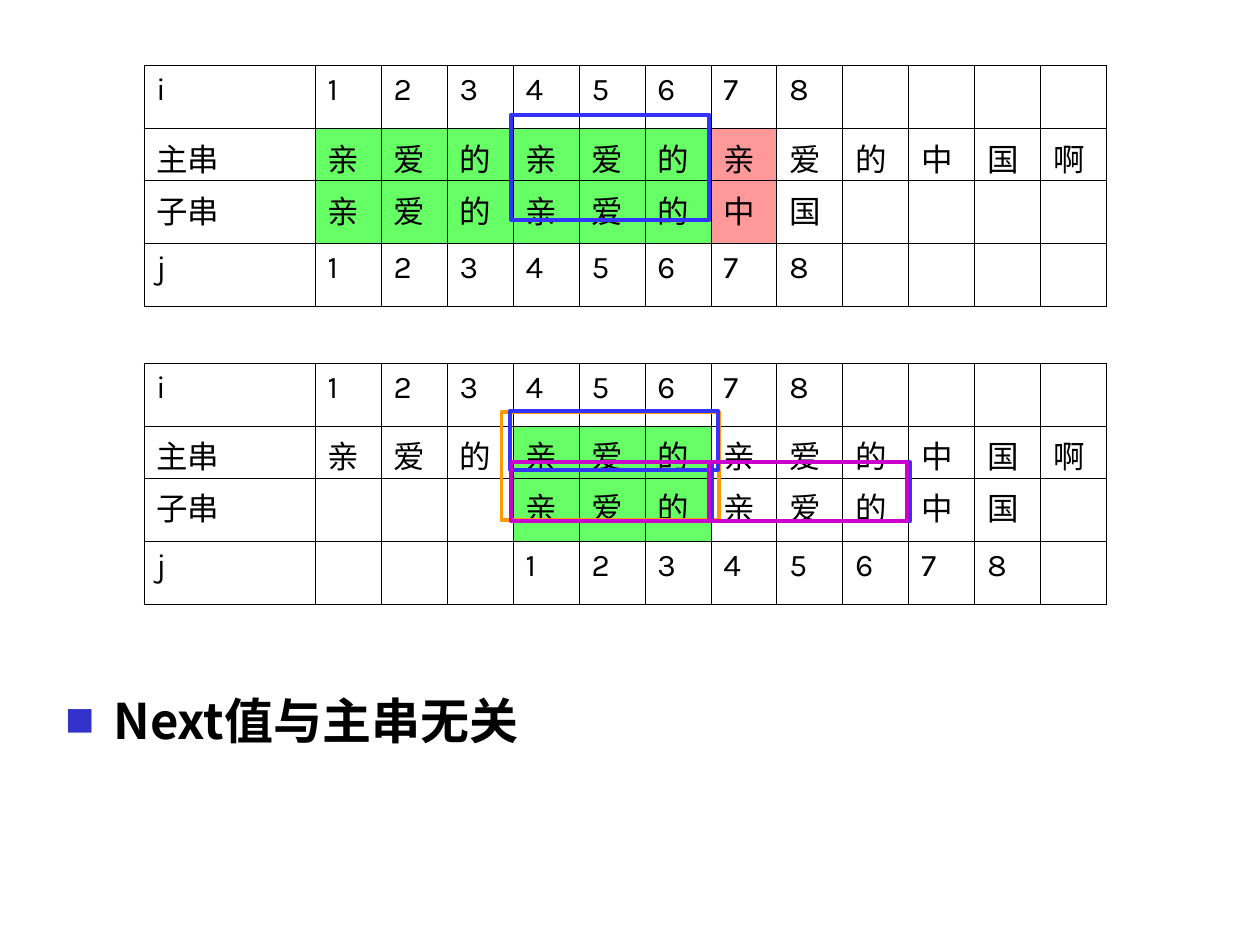
from lxml.etree import SubElement
from pptx import Presentation
from pptx.dml.color import RGBColor
from pptx.enum.shapes import MSO_SHAPE as Shape
from pptx.oxml.ns import qn
from pptx.util import Cm, Pt

LATIN, CHINESE = "Karla", "Noto Sans CJK SC"
BLACK, GREEN, RED = "000000", "66FF66", "FF9999"
BLUE, ORANGE, MAGENTA = "3333FF", "FF9900", "CC00CC"


def colour(hex_value):
    return RGBColor.from_string(hex_value)


class SlideBuilder:
    """Holds the style and the slide being built."""

    cell_format = {"size": Pt(18), "name": LATIN}
    note_format = {"size": Pt(28), "name": CHINESE, "bold": True}
    row_heights = (1.27, 1.04, 1.27, 1.27)
    label_width, step, letters = 3.45, 1.33, 12

    def __init__(self, slide):
        self.slide = slide

    def add_text(self, paragraph, text, text_format):
        run = paragraph.add_run()
        run.text = text
        for name, value in text_format.items():
            setattr(run.font, name, value)
        run.font.color.rgb = colour(BLACK)
        SubElement(run._r.get_or_add_rPr(), qn("a:ea"), typeface=CHINESE)

    def border(self, cell):
        properties = cell._tc.get_or_add_tcPr()
        for side in ("lnL", "lnR", "lnT", "lnB"):
            line = SubElement(properties, qn(f"a:{side}"), w=str(Pt(0.45)))
            fill = SubElement(line, qn("a:solidFill"))
            SubElement(fill, qn("a:srgbClr"), val=BLACK)

    def match_table(self, left, top, rows, highlights):
        """Each row is (label, first column, letters); highlights map columns to fills."""
        width = self.label_width + self.letters * self.step
        table = self.slide.shapes.add_table(
            len(rows), self.letters + 1, Cm(left), Cm(top),
            Cm(width), Cm(sum(self.row_heights))).table
        table.first_row = table.horz_banding = False
        for index, column in enumerate(table.columns):
            column.width = Cm(self.step if index else self.label_width)
        for index, (label, start, letters) in enumerate(rows):
            table.rows[index].height = Cm(self.row_heights[index])
            texts = {0: label, **dict(enumerate(letters, start))}
            for position, cell in enumerate(table.rows[index].cells):
                cell.margin_bottom = 0
                self.border(cell)
                # Only the two string rows are highlighted
                if index in (1, 2) and position in highlights:
                    cell.fill.solid()
                    cell.fill.fore_color.rgb = colour(highlights[position])
                else:
                    cell.fill.background()
                if position in texts:
                    self.add_text(cell.text_frame.paragraphs[0], texts[position],
                                  self.cell_format)

    def frame(self, left, top, width, height, line_colour):
        shape = self.slide.shapes.add_shape(
            Shape.RECTANGLE, Cm(left), Cm(top), Cm(width), Cm(height))
        shape.shadow.inherit = False
        shape.fill.background()
        shape.line.color.rgb = colour(line_colour)
        shape.line.width = Pt(2.25)

    def bullet_note(self, left, top, width, height, text):
        box = self.slide.shapes.add_textbox(Cm(left), Cm(top), Cm(width), Cm(height))
        box.text_frame.word_wrap = True
        paragraph = box.text_frame.paragraphs[0]
        paragraph.line_spacing = 0.9
        properties = paragraph._p.get_or_add_pPr()
        properties.set("marL", str(Cm(0.97)))
        properties.set("indent", str(Cm(-0.97)))
        bullet_colour = SubElement(properties, qn("a:buClr"))
        SubElement(bullet_colour, qn("a:srgbClr"), val="3333CC")
        SubElement(properties, qn("a:buSzPct"), val="60000")
        SubElement(properties, qn("a:buFont"), typeface=CHINESE)
        SubElement(properties, qn("a:buChar"), char="■")
        self.add_text(paragraph, text, self.note_format)


def main():
    presentation = Presentation()
    presentation.slide_width, presentation.slide_height = Cm(25.4), Cm(19.05)
    slide = presentation.slides.add_slide(presentation.slide_layouts[6])
    builder = SlideBuilder(slide)

    main_string, pattern, digits = "亲爱的亲爱的亲爱的中国啊", "亲爱的亲爱的中国", "12345678"

    # Tables: pattern shifted by three after the mismatch, and the mismatch itself
    matched_after = dict.fromkeys(range(4, 7), GREEN)
    matched_before = {**dict.fromkeys(range(1, 7), GREEN), 7: RED}
    for top, start, highlights in ((7.32, 4, matched_after), (1.32, 1, matched_before)):
        rows = (("i", 1, digits), ("主串", 1, main_string),
                ("子串", start, pattern), ("j", start, digits))
        builder.match_table(2.9, top, rows, highlights)

    # Frame around the matched suffix in the upper table
    builder.frame(10.31, 2.31, 3.99, 2.13, BLUE)

    # Conclusion
    builder.bullet_note(1.07, 13.92, 24.33, 2.29, "Next值与主串无关")

    # Frames around equal parts in the lower table
    builder.frame(10.11, 8.31, 4.39, 2.18, ORANGE)
    builder.frame(14.35, 9.32, 3.99, 1.19, BLUE)
    builder.frame(10.29, 8.28, 4.19, 1.19, BLUE)
    for left in (10.31, 14.3):
        builder.frame(left, 9.32, 3.99, 1.19, MAGENTA)

    presentation.save("out.pptx")


if __name__ == "__main__":
    main()
